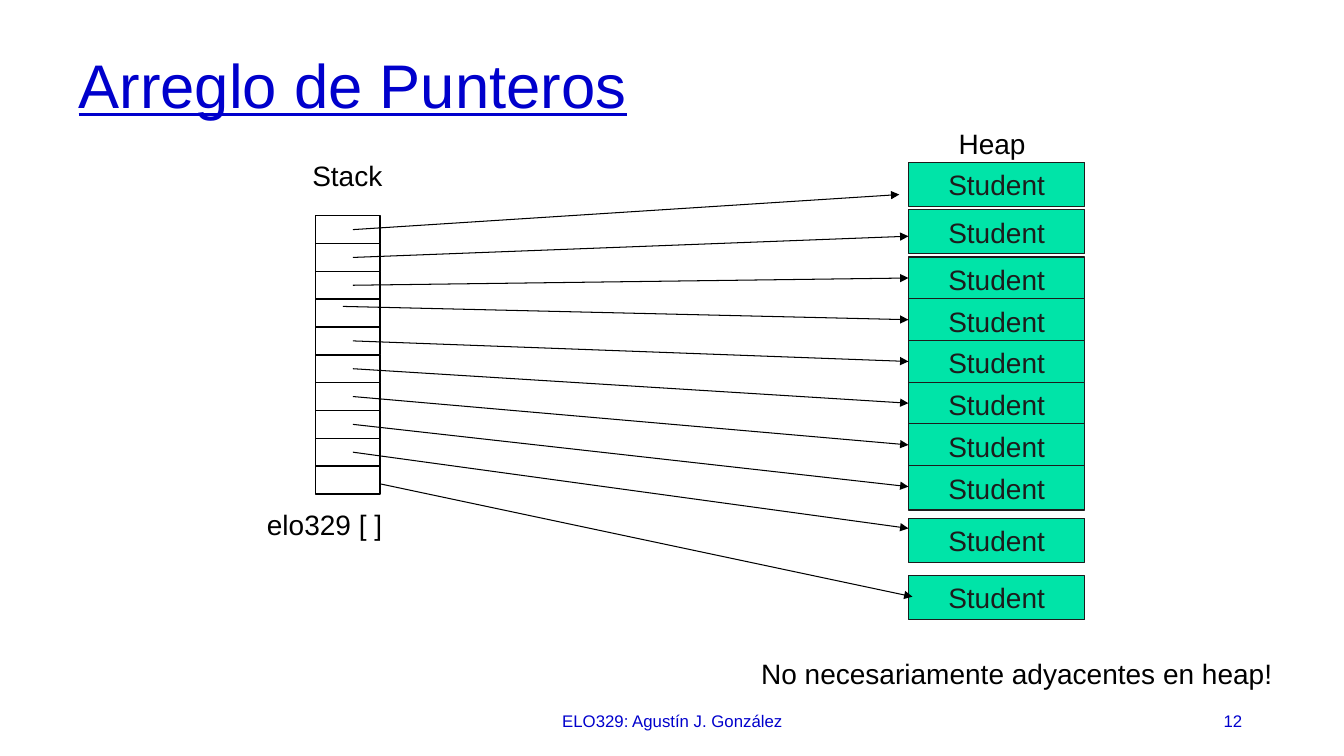
from dataclasses import dataclass

from lxml import etree
from pptx import Presentation
from pptx.dml.color import RGBColor
from pptx.enum.shapes import MSO_CONNECTOR, MSO_SHAPE
from pptx.enum.text import MSO_ANCHOR, MSO_AUTO_SIZE, PP_ALIGN
from pptx.oxml.ns import qn
from pptx.util import Emu, Pt

RECTANGLE = MSO_SHAPE.RECTANGLE
STRAIGHT = MSO_CONNECTOR.STRAIGHT
MIDDLE = MSO_ANCHOR.MIDDLE
NO_AUTOFIT = MSO_AUTO_SIZE.NONE
LEFT, CENTER, RIGHT = PP_ALIGN.LEFT, PP_ALIGN.CENTER, PP_ALIGN.RIGHT

PX = 9144  # 100 px to the inch
TITLE_ONLY = 5


@dataclass(frozen=True)
class Theme:
    font: str = "Arial"
    blue: RGBColor = RGBColor(0x00, 0x00, 0xCC)
    black: RGBColor = RGBColor(0x00, 0x00, 0x00)
    ink: RGBColor = RGBColor(0x1C, 0x1C, 0x1C)
    green: RGBColor = RGBColor(0x00, 0xE4, 0xA8)
    title_size: int = 44
    body_size: int = 20
    footer_size: int = 12
    thin: float = 0.75
    cell_line: float = 1


THEME = Theme()


def px(*lengths):
    return [Emu(round(length * PX)) for length in lengths]


def write(shape, text, size, color, align):
    frame = shape.text_frame
    frame.text = text
    frame.auto_size = NO_AUTOFIT
    frame.vertical_anchor = MIDDLE
    para = frame.paragraphs[0]
    para.alignment = align
    font = para.runs[0].font
    font.name, font.size, font.color.rgb = THEME.font, Pt(size), color
    return para


def add_label(page, box, text, align=CENTER, size=THEME.body_size,
              color=THEME.black, wrap=True):
    label = page.shapes.add_textbox(*px(*box))
    write(label, text, size, color, align)
    label.text_frame.word_wrap = wrap


def add_box(page, box, line_color, line_width, fill=None):
    shape = page.shapes.add_shape(RECTANGLE, *px(*box))
    shape.shadow.inherit = False
    if fill is None:
        shape.fill.background()
    else:
        shape.fill.solid()
        shape.fill.fore_color.rgb = fill
    shape.line.color.rgb = line_color
    shape.line.width = Pt(line_width)
    return shape


def add_arrow(page, start, end):
    arrow = page.shapes.add_connector(STRAIGHT, *px(*start, *end))
    arrow.line.color.rgb = THEME.black
    arrow.line.width = Pt(THEME.thin)
    line = arrow.line._get_or_add_ln()
    etree.SubElement(line, qn("a:tailEnd"), type="triangle")
    etree.SubElement(arrow._element.spPr, qn("a:effectLst"))


def add_title(page, box, text):
    title = page.shapes.title
    title.left, title.top, title.width, title.height = px(*box)
    para = write(title, text, THEME.title_size, THEME.blue, LEFT)
    para.line_spacing = 0.9
    para.runs[0].font.underline = True


def add_footer(page, box, course, number):
    left, top, width, height = box
    style = {"size": THEME.footer_size, "color": THEME.blue}
    add_label(page, (left, top, 450, height), course, CENTER, **style)
    add_label(page, (left + width - 300, top, 300, height), number, RIGHT, **style)


def add_heap(page, box, offsets):
    """Column of objects, each at its own offset below the top of the box."""
    left, top, width, _ = box
    add_label(page, (left - 9, top - 41, width + 9, 44), "Heap")
    for offset in offsets:
        student = add_box(page, (left, top + offset, width, 44),
                          THEME.ink, THEME.thin, THEME.green)
        write(student, "Student", THEME.body_size, THEME.ink, CENTER)


def add_stack(page, box, count):
    """Array of equal cells that fills the box."""
    left, top, width, height = box
    step = height / count
    add_label(page, (left - 28, top - 62, 119, 44), "Stack")
    for row in range(count):
        add_box(page, (left, top + row * step, width, step),
                THEME.black, THEME.cell_line)
    add_label(page, (left - 106, top + height + 8, 230, 44), "elo329 [ ]")


def add_pointers(page, stack, heap, count):
    """Arrows from evenly spaced cells to evenly spaced points on the heap."""
    stack_left, stack_top, stack_width, stack_height = stack
    heap_left, heap_top = heap[:2]
    cell = stack_height / count
    starts = [(stack_left + 37, stack_top + (row + 0.5) * cell) for row in range(count)]
    ends = [(heap_left, heap_top + 32 + row * 41.4) for row in range(count)]
    # Ends placed off the regular spacing
    ends[0] = (heap_left - 9, heap_top + 32)
    starts[3] = (stack_left + 27, stack_top + 90)
    starts[-1] = (stack_left + stack_width, stack_top + 266)
    ends[-1] = (heap_left + 4, heap_top + 431)
    for start, end in zip(starts, ends):
        add_arrow(page, start, end)


def build_pointer_slide(deck):
    page = deck.slides.add_slide(deck.slide_layouts[TITLE_ONLY])
    stack = (313, 214, 64, 276)
    heap = (901, 161, 175, 454)
    # Offsets of the students: two apart, six touching, two apart
    offsets = [0, 47, *(94 + 41.4 * row for row in range(6)), 353, 410]

    add_title(page, (68, 40, 1208, 95), "Arreglo de Punteros")
    add_footer(page, (442, 695, 800, 40), "ELO329: Agustín J. González", "12")
    add_heap(page, heap, offsets)
    add_stack(page, stack, len(offsets))
    add_pointers(page, stack, heap, len(offsets))
    add_label(page, (745, 646, 531, 44), "No necesariamente adyacentes en heap!",
              LEFT, wrap=False)


def main():
    deck = Presentation()
    deck.slide_width, deck.slide_height = px(1333, 750)
    build_pointer_slide(deck)
    deck.save("out.pptx")


if __name__ == "__main__":
    main()
